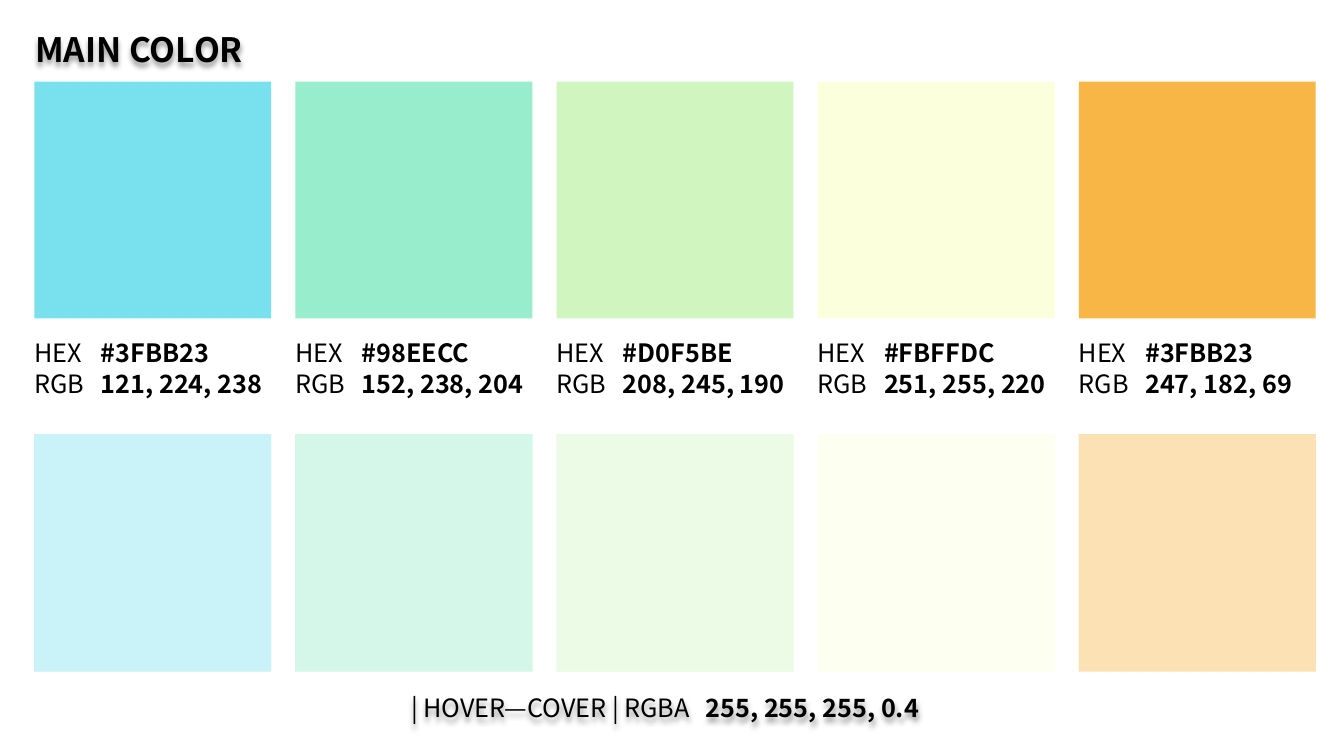
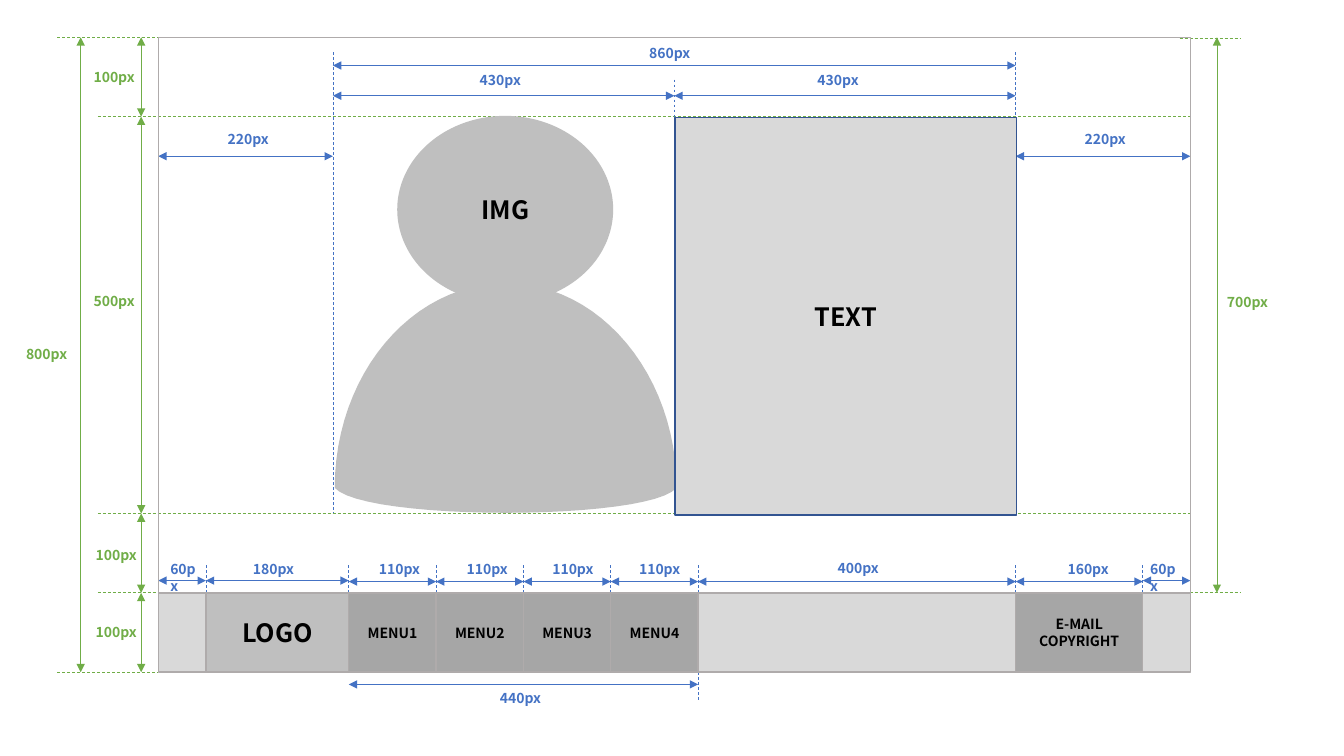
from lxml import etree
from pptx import Presentation
from pptx.dml.color import RGBColor
from pptx.enum.dml import MSO_LINE
from pptx.enum.shapes import MSO_CONNECTOR, MSO_SHAPE
from pptx.enum.text import MSO_ANCHOR, PP_ALIGN
from pptx.oxml.ns import qn
from pptx.util import Inches, Pt

RECTANGLE, OVAL = MSO_SHAPE.RECTANGLE, MSO_SHAPE.OVAL
STRAIGHT, DASH = MSO_CONNECTOR.STRAIGHT, MSO_LINE.DASH
LEFT_ALIGN, CENTER = PP_ALIGN.LEFT, PP_ALIGN.CENTER
TOP_ANCHOR, MIDDLE = MSO_ANCHOR.TOP, MSO_ANCHOR.MIDDLE


class Theme:
    font = "Noto Sans CJK KR"
    title, body, label = Pt(24), Pt(18), Pt(10)
    thin, border = Pt(0.5), Pt(1)
    black = RGBColor.from_string("000000")
    white = RGBColor.from_string("FFFFFF")
    green = RGBColor.from_string("70AD47")
    blue = RGBColor.from_string("4472C4")
    navy = RGBColor.from_string("325491")
    edge = RGBColor.from_string("AFABAB")
    light = RGBColor.from_string("D9D9D9")
    medium = RGBColor.from_string("BFBFBF")
    dark = RGBColor.from_string("A6A6A6")


def write(box, lines, size, color=Theme.black, align=LEFT_ALIGN, anchor=TOP_ANCHOR, tab=None):
    frame = box.text_frame
    frame.word_wrap = True
    frame.vertical_anchor = anchor
    for index, spans in enumerate(lines):
        para = frame.paragraphs[0] if index == 0 else frame.add_paragraph()
        para.alignment = align
        if tab:
            stops = etree.SubElement(para._p.get_or_add_pPr(), qn("a:tabLst"))
            etree.SubElement(stops, qn("a:tab"), pos=str(tab), algn="l")
        for text, bold in spans:
            span = para.add_run()
            span.text = text
            span.font.name = Theme.font
            span.font.size = size
            span.font.bold = bold
            span.font.color.rgb = color


def draw_line(page, start, end, color, dashed=False):
    line = page.shapes.add_connector(STRAIGHT, *start, *end)
    line.line.color.rgb = color
    line.line.width = Theme.thin
    if dashed:
        line.line.dash_style = DASH
    else:
        outline = line.line._get_or_add_ln()
        for side in ("a:headEnd", "a:tailEnd"):
            etree.SubElement(outline, qn(side), type="triangle")
    etree.SubElement(line._element.spPr, qn("a:effectLst"))


deck = Presentation()
deck.slide_width, deck.slide_height = Inches(13.33), Inches(7.5)
blank = deck.slide_layouts[6]

page = deck.slides.add_slide(blank)
tile, pitch, margin = Inches(2.35), Inches(2.59), Inches(0.34)
main_row, tint_row = Inches(0.81), Inches(4.31)
swatches = [
    ("79E1EE", "#3FBB23", "121, 224, 238"),
    ("98EDCC", "#98EECC", "152, 238, 204"),
    ("D0F5BF", "#D0F5BE", "208, 245, 190"),
    ("FBFFDC", "#FBFFDC", "251, 255, 220"),
    ("F7B645", "#3FBB23", "247, 182, 69"),
]
for column, (color, hex_code, rgb_code) in enumerate(swatches):
    left = margin + column * pitch
    fill = RGBColor.from_string(color)
    for top, paint, alpha in ((main_row, fill, 100), (tint_row, fill, 100), (tint_row, Theme.white, 60)):
        swatch = page.shapes.add_shape(RECTANGLE, left, top, tile, tile)
        swatch.shadow.inherit = False
        swatch.fill.solid()
        swatch.fill.fore_color.rgb = paint
        swatch.line.fill.background()
        if alpha < 100:
            paint_xml = swatch._element.spPr.find(".//" + qn("a:srgbClr"))
            etree.SubElement(paint_xml, qn("a:alpha"), val=str(alpha * 1000))
    box = page.shapes.add_textbox(left - Inches(0.1), Inches(3.3), Inches(2.65), Inches(0.71))
    codes = [[("HEX\t", False), (hex_code, True)], [("RGB\t", False), (rgb_code, True)]]
    write(box, codes, Theme.body, tab=Inches(0.66))

captions = [
    (0.25, 0.16, 2.54, 0.65, [("MAIN COLOR", True)], Theme.title, MIDDLE),
    (3.98, 6.82, 5.49, 0.4, [("| HOVER—COVER | RGBA\t", False), ("255, 255, 255, 0.4", True)], Theme.body, TOP_ANCHOR),
]
for left, top, width, height, spans, size, anchor in captions:
    box = page.shapes.add_textbox(Inches(left), Inches(top), Inches(width), Inches(height))
    write(box, [spans], size, anchor=anchor, tab=Inches(2.92))
    effects = etree.SubElement(box._element.spPr, qn("a:effectLst"))
    shadow = etree.SubElement(effects, qn("a:outerShdw"), blurRad="50800", dist="38100", dir="5400000")
    shade = etree.SubElement(shadow, qn("a:srgbClr"), val="000000")
    etree.SubElement(shade, qn("a:alpha"), val="40000")

page = deck.slides.add_slide(blank)
PX = Inches(6.3) // 800
LEFT, TOP = Inches(1.57), Inches(0.37)

guide_rows = [(0, 0.57, 1.57), (100, 0.97, 11.81), (600, 0.97, 11.81), (700, 0.97, 1.57),
              (800, 0.57, 1.57), (2, 11.7, 12.3), (700, 11.7, 12.3)]
for row, start, end in guide_rows:
    y = TOP + row * PX
    draw_line(page, (Inches(start), y), (Inches(end), y), Theme.green, dashed=True)

guide_columns = [(220, 0.52, 5.09), (650, 0.79, 1.25), (1080, 0.52, 1.25), (680, 6.67, 6.96)]
guide_columns += [(column, 5.61, 5.9) for column in (60, 240, 350, 460, 570, 680, 1080, 1240)]
for column, start, end in guide_columns:
    x = LEFT + column * PX
    draw_line(page, (x, Inches(start)), (x, Inches(end)), Theme.blue, dashed=True)

heights = [
    (0, 100, 1.4, 0.83, 0.63), (100, 600, 1.4, 0.83, 2.85), (600, 700, 1.4, 0.85, 5.37),
    (700, 800, 1.4, 0.85, 6.14), (0, 800, 0.8, 0.16, 3.38), (0, 700, 12.07, 12.07, 2.86),
]
widths = [
    (0, 60, 5.76, 1.59, 5.51), (60, 240, 5.76, 2.41, 5.51), (240, 350, 5.77, 3.66, 5.51),
    (350, 460, 5.77, 4.53, 5.51), (460, 570, 5.77, 5.38, 5.51), (570, 680, 5.77, 6.24, 5.51),
    (680, 1080, 5.77, 8.21, 5.5), (1080, 1240, 5.77, 10.49, 5.51), (1240, 1300, 5.76, 11.31, 5.51),
    (240, 680, 6.79, 4.86, 6.79), (0, 220, 1.55, 2.16, 1.25), (1080, 1300, 1.55, 10.66, 1.25),
    (220, 650, 0.95, 4.66, 0.66), (650, 1080, 0.95, 8.01, 0.66), (220, 1080, 0.65, 6.34, 0.39),
]
for measures, color in ((heights, Theme.green), (widths, Theme.blue)):
    for start, end, position, label_left, label_top in measures:
        across = Inches(position)
        if measures is heights:
            ends = (across, TOP + start * PX), (across, TOP + end * PX)
        else:
            ends = (LEFT + start * PX, across), (LEFT + end * PX, across)
        draw_line(page, *ends, color)
        label_width = 0.48 if end - start < 100 else 0.63
        box = page.shapes.add_textbox(Inches(label_left), Inches(label_top), Inches(label_width), Inches(0.27))
        write(box, [[(f"{end - start}px", True)]], Theme.label, color)

shoulder = [
    ((3.32, 4.84), (3.32, 3.72), (4.08, 2.81), (5.02, 2.81)),
    ((5.02, 2.81), (5.95, 2.81), (6.71, 3.72), (6.71, 4.84)),
    ((6.71, 4.84), (6.43, 5.17), (3.61, 5.17), (3.32, 4.84)),
]
steps = 24
outline = []
for curve in shoulder:
    for step in range(1, steps + 1):
        t = step / steps
        weights = ((1 - t) ** 3, 3 * t * (1 - t) ** 2, 3 * t ** 2 * (1 - t), t ** 3)
        outline.append(tuple(Inches(sum(w * point[axis] for w, point in zip(weights, curve))) for axis in (0, 1)))
builder = page.shapes.build_freeform(*outline[-1], scale=1.0)
builder.add_line_segments(outline, close=True)
body = builder.convert_to_shape()
body.shadow.inherit = False
body.fill.solid()
body.fill.fore_color.rgb = Theme.medium
body.line.fill.background()

blocks = [
    (RECTANGLE, 0, 0, 1300, 700, None, Theme.edge, [], Theme.body),
    (RECTANGLE, 0, 700, 1300, 100, Theme.light, Theme.edge, [], Theme.body),
    (OVAL, 301, 99, 272, 236, Theme.medium, None, ["IMG"], Theme.body),
    (RECTANGLE, 60, 700, 180, 100, Theme.medium, Theme.edge, ["LOGO"], Theme.body),
    (RECTANGLE, 1080, 700, 160, 100, Theme.dark, Theme.edge, ["E-MAIL", "COPYRIGHT"], Theme.label),
    (RECTANGLE, 651, 101, 430, 501, Theme.light, Theme.navy, ["TEXT"], Theme.body),
]
blocks += [
    (RECTANGLE, 240 + 110 * item, 700, 110, 100, Theme.dark, Theme.edge, [f"MENU{item + 1}"], Theme.label)
    for item in range(4)
]
for kind, column, row, width, height, fill, edge, words, size in blocks:
    block = page.shapes.add_shape(kind, LEFT + column * PX, TOP + row * PX, width * PX, height * PX)
    block.shadow.inherit = False
    if fill:
        block.fill.solid()
        block.fill.fore_color.rgb = fill
    else:
        block.fill.background()
    if edge:
        block.line.color.rgb = edge
        block.line.width = Theme.border
    else:
        block.line.fill.background()
    write(block, [[(word, True)] for word in words], size, align=CENTER, anchor=MIDDLE)

deck.save("out.pptx")
